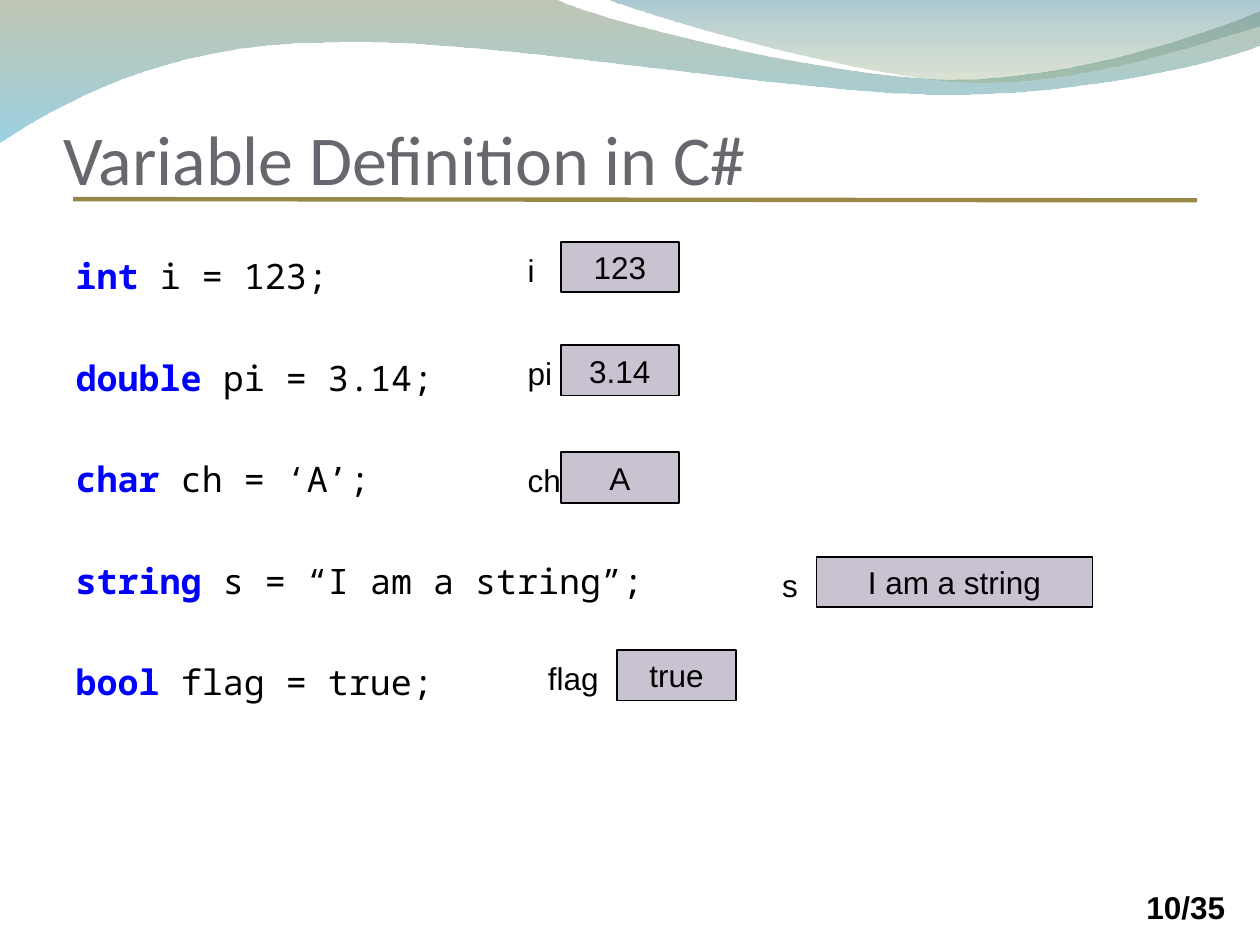
from lxml import etree
from pptx import Presentation
from pptx.dml.color import RGBColor
from pptx.enum.shapes import MSO_CONNECTOR as Conn, MSO_SHAPE as Shape
from pptx.enum.text import MSO_ANCHOR as Anchor, MSO_AUTO_SIZE as Fit, PP_ALIGN as Align
from pptx.oxml.ns import qn
from pptx.util import Inches, Pt

BLACK = RGBColor(0, 0, 0)
BLUE = RGBColor(0, 0, 255)
GREY = RGBColor(0x69, 0x67, 0x6D)
LILAC = RGBColor(0xC9, 0xC2, 0xD1)
GOLD = RGBColor(0x98, 0x88, 0x48)
OLIVE = RGBColor(0x72, 0x84, 0x5C)
SKY = RGBColor(0x49, 0xAC, 0xCD)
TEAL = RGBColor(0x42, 0x86, 0x9E)
MOSS = RGBColor(0x8A, 0xA2, 0x6C)

# A two-number step is a corner; a six-number step is a cubic curve.
BACK = [(0, 0), (4.42, 0), (4.76, 0.17, 6.64, 0.63, 7.58, 0.63),
        (8.53, 0.63, 9.58, 0.26, 10, 0.09), (10, 0.36),
        (9.83, 0.44, 8.7, 0.76, 7.46, 0.75),
        (6.22, 0.75, 3.82, 0.28, 2.57, 0.34),
        (1.29, 0.35, 0.46, 0.83, 0, 1.13)]
FRONT = [(4.82, 0), (5.09, 0.11, 6.82, 0.62, 7.69, 0.65),
         (8.56, 0.69, 9.61, 0.32, 10, 0.21), (10, 0)]

CODE = [("int", " i = 123;"), ("double ", "pi = 3.14;"),
        ("char", " ch = ‘A’;"), ("string ", "s = “I am a string”;"),
        ("bool ", "flag = true;")]

# Name, value, left, top, name width, cell offset, cell width
CELLS = [("i", "123", 4.09, 1.92, 0.25, 0.36, 0.94),
         ("pi", "3.14", 4.09, 2.74, 0.39, 0.36, 0.94),
         ("ch", "A", 4.09, 3.59, 0.46, 0.36, 0.94),
         ("s", "I am a string", 6.11, 4.42, 0.32, 0.37, 2.19),
         ("flag", "true", 4.25, 5.16, 0.6, 0.65, 0.94)]


def bend(shape, steps):
    """Turn the straight legs of an outline into cubic curves where steps ask for it."""
    left = min(step[-2] for step in steps)
    legs = list(shape._element.spPr.iter(qn("a:lnTo")))
    for leg, step in zip(legs, steps[1:]):
        if len(step) == 2:
            continue
        leg.tag = qn("a:cubicBezTo")
        for n, (x, y) in enumerate((step[:2], step[2:4])):
            point = etree.Element(qn("a:pt"), x=str(Inches(x - left)), y=str(Inches(y)))
            leg.insert(n, point)


def add_wave(slide, left, top, steps, stops):
    ends = [(left + Inches(step[-2]), top + Inches(step[-1])) for step in steps]
    pen = slide.shapes.build_freeform(*ends[0])
    pen.add_line_segments(ends[1:], close=True)
    wave = pen.convert_to_shape()
    bend(wave, steps)
    wave.shadow.inherit = False
    wave.line.fill.background()
    wave.fill.gradient()
    wave.fill.gradient_angle = 270
    for stop, (spot, color, _) in zip(wave.fill.gradient_stops, stops):
        stop.position = spot
        stop.color.rgb = color
    for tone, (_, _, alpha) in zip(wave._element.spPr.iter(qn("a:srgbClr")), stops):
        etree.SubElement(tone, qn("a:alpha")).set("val", str(alpha * 1000))


def add_rule(slide, left, top, width):
    rule = slide.shapes.add_connector(
        Conn.STRAIGHT, left, top, left + width, top + Inches(0.01))
    rule.line.color.rgb = GOLD
    rule.line.width = Pt(2.5)
    etree.SubElement(rule._element.spPr, qn("a:effectLst"))


def place(shape, left, top, width, height):
    shape.left, shape.top, shape.width, shape.height = left, top, width, height


def style(font, name, size, color, bold=False):
    font.name, font.size, font.bold = name, Pt(size), bold
    font.color.rgb = color


def write(shape, text, bold=False, align=Align.CENTER, anchor=Anchor.MIDDLE):
    frame = shape.text_frame
    frame.word_wrap = True
    frame.auto_size = Fit.SHAPE_TO_FIT_TEXT
    frame.vertical_anchor = anchor
    par = frame.paragraphs[0]
    par.text = text
    par.alignment = align
    style(par.font, "Arial", 18, BLACK, bold)


def set_title(slide, left, top, width, height):
    title = slide.shapes.title
    place(title, left, top, width, height)
    frame = title.text_frame
    frame.auto_size = Fit.NONE
    frame.vertical_anchor = Anchor.BOTTOM
    frame.margin_left = frame.margin_right = frame.margin_bottom = 0
    par = frame.paragraphs[0]
    par.text = "Variable Definition in C#"
    par.alignment = Align.LEFT
    style(par.font, "Calibri", 40, GREY)


def set_code(slide, left, top, width, height):
    body = slide.placeholders[1]
    place(body, left, top, width, height)
    frame = body.text_frame
    frame.auto_size = Fit.NONE
    frame.margin_top = Inches(0.35)
    for n, (word, rest) in enumerate(CODE):
        par = frame.add_paragraph() if n else frame.paragraphs[0]
        props = par._p.get_or_add_pPr()
        props.set("marL", "0")
        props.set("indent", "0")
        etree.SubElement(props, qn("a:buNone"))
        par.line_spacing = Pt(24)
        par.space_before = Pt(34 if n else 0)
        for text, color, bold in ((word, BLUE, True), (rest, BLACK, False)):
            run = par.add_run()
            run.text = text
            style(run.font, "Noto Sans Mono", 20, color, bold)


def add_cell(slide, left, top, name, value, span, shift, width):
    """Draw a variable's name beside the box that holds its value."""
    high = Inches(0.4)
    cell = slide.shapes.add_shape(Shape.RECTANGLE, left + shift, top, width, high)
    cell.shadow.inherit = False
    cell.fill.solid()
    cell.fill.fore_color.rgb = LILAC
    cell.line.color.rgb = BLACK
    cell.line.width = Pt(1)
    write(cell, value)
    label = slide.shapes.add_textbox(left, top + Inches(0.02), span, high)
    write(label, name)
    label.text_frame.margin_left = label.text_frame.margin_right = Inches(0.05)


def add_page(slide, left, top, width, height):
    box = slide.shapes.add_textbox(left, top, width, height)
    write(box, "10/35", bold=True, align=Align.LEFT, anchor=Anchor.TOP)


def main():
    deck = Presentation()
    deck.slide_width, deck.slide_height = Inches(10), Inches(7.5)
    slide = deck.slides.add_slide(deck.slide_layouts[1])
    add_wave(slide, 0, 0, BACK, [(0, OLIVE, 45), (1, SKY, 55)])
    add_wave(slide, 0, 0, FRONT, [(0, TEAL, 45), (1, MOSS, 30)])
    add_rule(slide, Inches(0.58), Inches(1.58), Inches(8.92))
    add_page(slide, Inches(9), Inches(7), Inches(0.92), Inches(0.4))
    set_title(slide, Inches(0.5), Inches(0.33), Inches(9), Inches(1.25))
    set_code(slide, Inches(0.5), Inches(1.67), Inches(9), Inches(5.33))
    for name, value, left, top, *sizes in CELLS:
        add_cell(slide, Inches(left), Inches(top), name, value, *map(Inches, sizes))
    deck.save("out.pptx")


if __name__ == "__main__":
    main()
